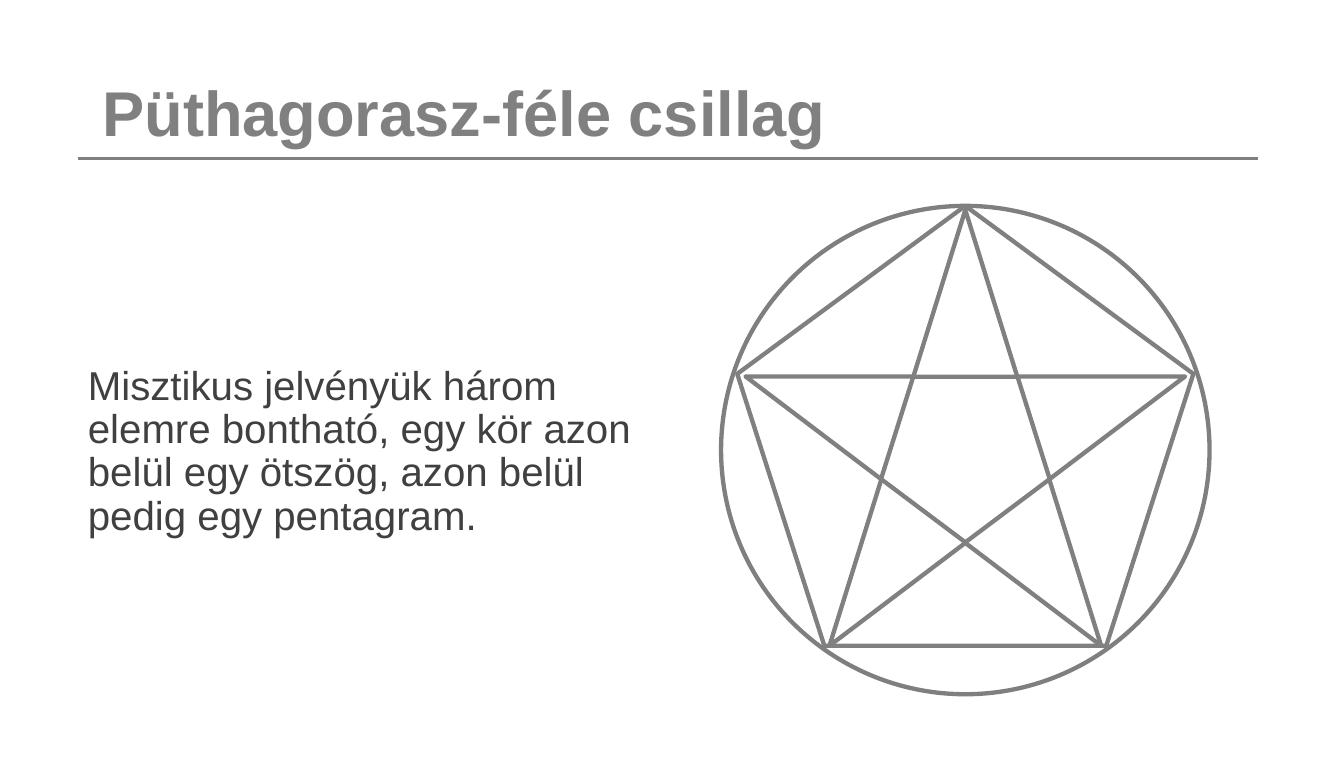
from dataclasses import dataclass

from lxml.etree import SubElement
from pptx import Presentation
from pptx.dml.color import RGBColor
from pptx.enum.shapes import MSO_CONNECTOR, MSO_SHAPE as SHAPE
from pptx.enum.text import MSO_ANCHOR, MSO_AUTO_SIZE, PP_ALIGN
from pptx.oxml.ns import qn
from pptx.util import Inches, Pt


@dataclass(frozen=True)
class Theme:
    font: str = "Arial"
    gray: RGBColor = RGBColor(0x80, 0x80, 0x80)
    ring: RGBColor = RGBColor(0x7F, 0x7F, 0x7F)
    text: RGBColor = RGBColor(0x40, 0x40, 0x40)
    title_size: Pt = Pt(44)
    body_size: Pt = Pt(28)
    body_gap: Pt = Pt(9.7)
    spacing: float = 0.9
    outline: Pt = Pt(3)
    rule: Pt = Pt(2.25)


class SlideBuilder:
    COLUMNS = 52
    ROWS = 30

    def __init__(self, prs, theme):
        self.theme = theme
        self.column = prs.slide_width / self.COLUMNS
        self.row = prs.slide_height / self.ROWS
        self.slide = prs.slides.add_slide(prs.slide_layouts[1])

    def box(self, left, top, width, height):
        return (round(left * self.column), round(top * self.row),
                round(width * self.column), round(height * self.row))

    def fill_placeholder(self, sp, box, text, size, color, bold):
        sp.left, sp.top, sp.width, sp.height = self.box(*box)
        tf = sp.text_frame
        tf.text = text
        tf.word_wrap = True
        tf.auto_size = MSO_AUTO_SIZE.NONE
        tf.vertical_anchor = MSO_ANCHOR.MIDDLE
        p = tf.paragraphs[0]
        p.alignment = PP_ALIGN.LEFT
        p.line_spacing = self.theme.spacing
        p.font.name = self.theme.font
        p.font.size = size
        p.font.bold = bold
        p.font.color.rgb = color
        return p

    def title(self, text, *box):
        t = self.theme
        self.fill_placeholder(self.slide.shapes.title, box, text, t.title_size, t.gray, True)

    def body(self, text, *box):
        t = self.theme
        p = self.fill_placeholder(self.slide.placeholders[1], box, text, t.body_size, t.text, False)
        p.space_before = t.body_gap
        pPr = p._p.get_or_add_pPr()
        pPr.set("marL", "0")
        pPr.set("indent", "0")
        bullet = pPr.makeelement(qn("a:buNone"), {})
        pPr.insert_element_before(bullet, "a:tabLst", "a:defRPr", "a:extLst")

    def outline(self, kind, center, top, width, height, color, rotation=0):
        box = self.box(center - width / 2, top, width, height)
        sp = self.slide.shapes.add_shape(kind, *box)
        sp.shadow.inherit = False
        sp.fill.background()
        sp.line.color.rgb = color
        sp.line.width = self.theme.outline
        sp.rotation = rotation

    def rule(self, left, right, row):
        x, y, width, _ = self.box(left, row, right - left, 0)
        line = self.slide.shapes.add_connector(MSO_CONNECTOR.STRAIGHT, x, y, x + width, y)
        line.line.color.rgb = self.theme.gray
        line.line.width = self.theme.rule
        SubElement(line._element.spPr, qn("a:effectLst"))


def main():
    prs = Presentation()
    prs.slide_width, prs.slide_height = Inches(12.99), Inches(7.48)
    theme = Theme()
    s = SlideBuilder(prs, theme)

    s.title("Püthagorasz-féle csillag", 3.56, 1.6, 44.88, 5.82)
    s.body("Misztikus jelvényük három elemre bontható, egy kör azon belül egy ötszög, "
           "azon belül pedig egy pentagram.", 3, 7.98, 23.02, 19.09)

    star_center = 37.35
    s.outline(SHAPE.OVAL, star_center, 7.98, 18.9, 18.93, theme.ring)
    s.outline(SHAPE.REGULAR_PENTAGON, star_center, 7.98, 17.65, 17.05, theme.gray)
    s.outline(SHAPE.STAR_5_POINT, star_center, 8.14, 17.01, 16.89, theme.gray)
    s.outline(SHAPE.REGULAR_PENTAGON, star_center, 14.6, 6.53, 6.42, theme.gray, rotation=180)
    s.rule(3, 48.68, 6.14)

    prs.save("out.pptx")


if __name__ == "__main__":
    main()
